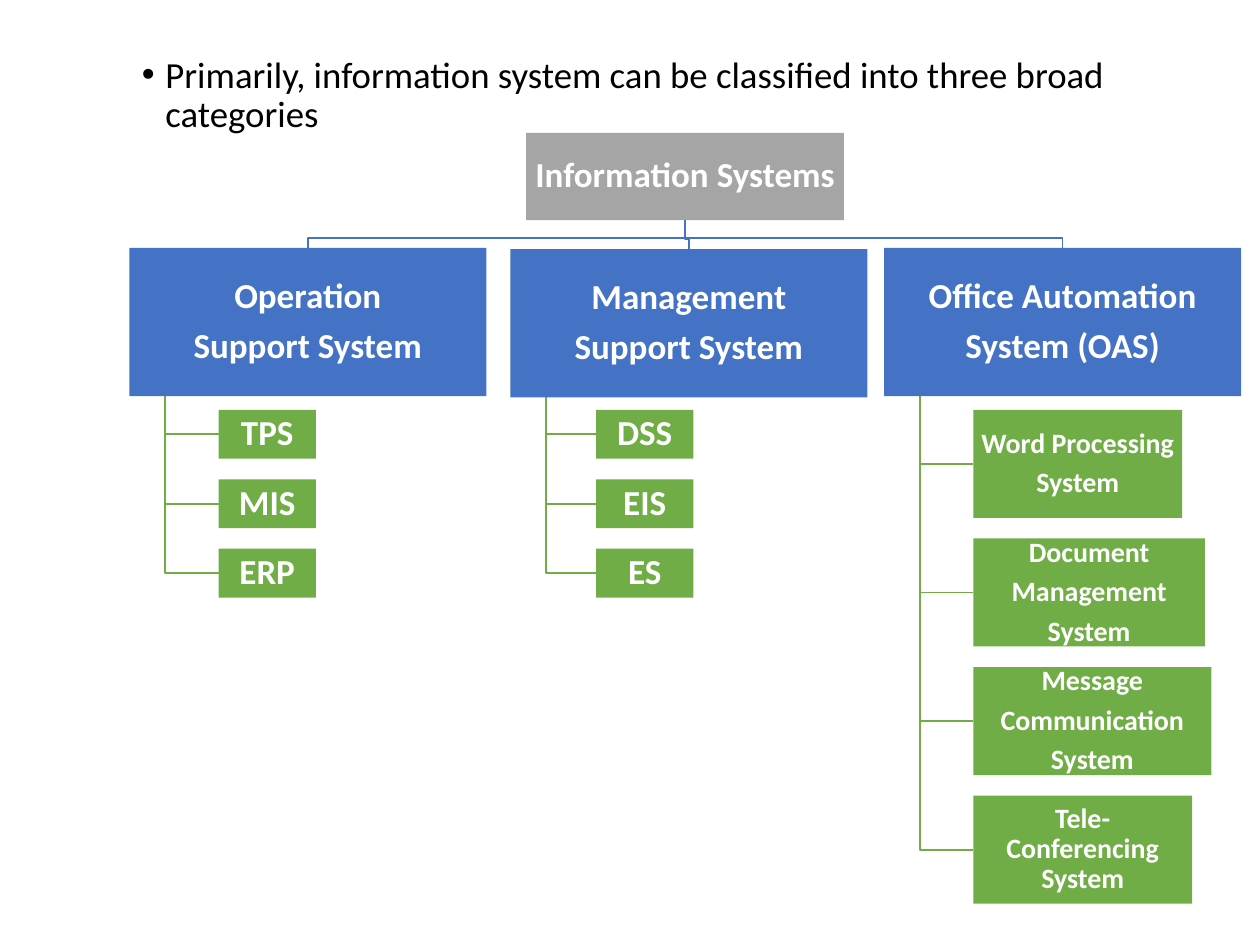
from lxml.etree import SubElement
from pptx import Presentation
from pptx.dml.color import RGBColor
from pptx.enum.shapes import MSO_SHAPE
from pptx.enum.text import MSO_ANCHOR, PP_ALIGN
from pptx.oxml.ns import qn
from pptx.util import Pt

INTRO = "Primarily, information system can be classified into three broad categories"
ROOT = "Information Systems"
BLUE, GREEN, GRAY, WHITE, BLACK = "4472C4", "70AD47", "A5A5A5", "FFFFFF", "000000"

BRANCHES = [
    {"title": "Operation\nSupport System", "left": 73.9, "top": 141.7,
     "leaf_left": 124.9, "leaf_height": 27.9, "size": 20,
     "leaves": [("TPS", 55.6), ("MIS", 55.6), ("ERP", 55.6)]},
    {"title": "Management\nSupport System", "left": 291.6, "top": 142.4,
     "leaf_left": 340.6, "leaf_height": 27.9, "size": 20,
     "leaves": [("DSS", 55.6), ("EIS", 55.6), ("ES", 55.6)]},
    {"title": "Office Automation\nSystem (OAS)", "left": 505.2, "top": 141.7,
     "leaf_left": 556.2, "leaf_height": 61.7, "size": 16,
     "leaves": [("Word Processing\nSystem", 119.4),
                ("Document\nManagement\nSystem", 132.3),
                ("Message\nCommunication\nSystem", 136),
                ("Tele-\nConferencing\nSystem", 125)]},
]
TIGHT = "Tele-"

ROOT_LEFT, ROOT_TOP, ROOT_WIDTH, ROOT_HEIGHT = 300.7, 76, 181.5, 49.8
BRANCH_WIDTH, BRANCH_HEIGHT = 204, 84.7
LEAF_TOP, LEAF_GAP = 234.2, 11.8
BUS_RISE = 5.8


def color(value):
    return RGBColor.from_string(value)


def write(shape, text, *, size, ink=WHITE, bold=True, align=PP_ALIGN.CENTER,
          anchor=MSO_ANCHOR.MIDDLE, margins=(1, 1), gap=0, bullet_indent=0):
    frame = shape.text_frame
    frame.word_wrap = True
    frame.vertical_anchor = anchor
    frame.margin_left = frame.margin_right = Pt(margins[0])
    frame.margin_top = frame.margin_bottom = Pt(margins[1])
    frame.text = text
    for paragraph in frame.paragraphs:
        paragraph.alignment = align
        paragraph.line_spacing = 0.9
        paragraph.space_after = Pt(gap)
        if bullet_indent:
            properties = paragraph._p.get_or_add_pPr()
            properties.set("marL", str(Pt(bullet_indent)))
            properties.set("indent", str(-Pt(bullet_indent)))
            SubElement(properties, qn("a:buFont"), typeface="Arial")
            SubElement(properties, qn("a:buChar"), char="•")
        for run in paragraph.runs:
            run.font.name = "Calibri"
            run.font.size = Pt(size)
            run.font.bold = bold
            run.font.color.rgb = color(ink)


def add_box(slide, left, top, width, height, fill, text, size):
    box = slide.shapes.add_shape(
        MSO_SHAPE.RECTANGLE, Pt(left), Pt(top), Pt(width), Pt(height))
    box.shadow.inherit = False
    box.fill.solid()
    box.fill.fore_color.rgb = color(fill)
    box.line.fill.background()
    gap = 0 if text.startswith(TIGHT) else round(size * 0.33, 1)
    write(box, text, size=size, gap=gap)


def add_elbow(slide, points, line):
    start, *rest = [(Pt(x), Pt(y)) for x, y in points]
    builder = slide.shapes.build_freeform(*start, scale=1.0)
    builder.add_line_segments(rest, close=False)
    elbow = builder.convert_to_shape()
    elbow.shadow.inherit = False
    elbow.fill.background()
    elbow.line.color.rgb = color(line)
    elbow.line.width = Pt(1)


def add_branch(slide, branch):
    left, top, height = branch["left"], branch["top"], branch["leaf_height"]
    root_x, branch_x = ROOT_LEFT + ROOT_WIDTH / 2, left + BRANCH_WIDTH / 2
    bus = top - BUS_RISE
    add_elbow(slide, [(root_x, ROOT_TOP + ROOT_HEIGHT), (root_x, bus),
                      (branch_x, bus), (branch_x, top)], BLUE)
    trunk, bottom = left + BRANCH_WIDTH / 10, top + BRANCH_HEIGHT
    for index, (text, width) in enumerate(branch["leaves"]):
        leaf_top = LEAF_TOP + index * (height + LEAF_GAP)
        middle = leaf_top + height / 2
        add_elbow(slide, [(trunk, bottom), (trunk, middle),
                          (branch["leaf_left"], middle)], GREEN)
        add_box(slide, branch["leaf_left"], leaf_top, width, height,
                GREEN, text, branch["size"])
    add_box(slide, left, top, BRANCH_WIDTH, BRANCH_HEIGHT, BLUE, branch["title"], 20)


def main():
    presentation = Presentation()
    presentation.slide_width, presentation.slide_height = Pt(720), Pt(540)
    slide = presentation.slides.add_slide(presentation.slide_layouts[6])
    intro = slide.shapes.add_textbox(Pt(74), Pt(28.8), Pt(601), Pt(487.5))
    write(intro, INTRO, size=21, ink=BLACK, bold=False, align=PP_ALIGN.LEFT,
          anchor=MSO_ANCHOR.TOP, margins=(7.2, 3.6), bullet_indent=13.5)
    for branch in BRANCHES:
        add_branch(slide, branch)
    add_box(slide, ROOT_LEFT, ROOT_TOP, ROOT_WIDTH, ROOT_HEIGHT, GRAY, ROOT, 20)
    presentation.save("out.pptx")


if __name__ == "__main__":
    main()
